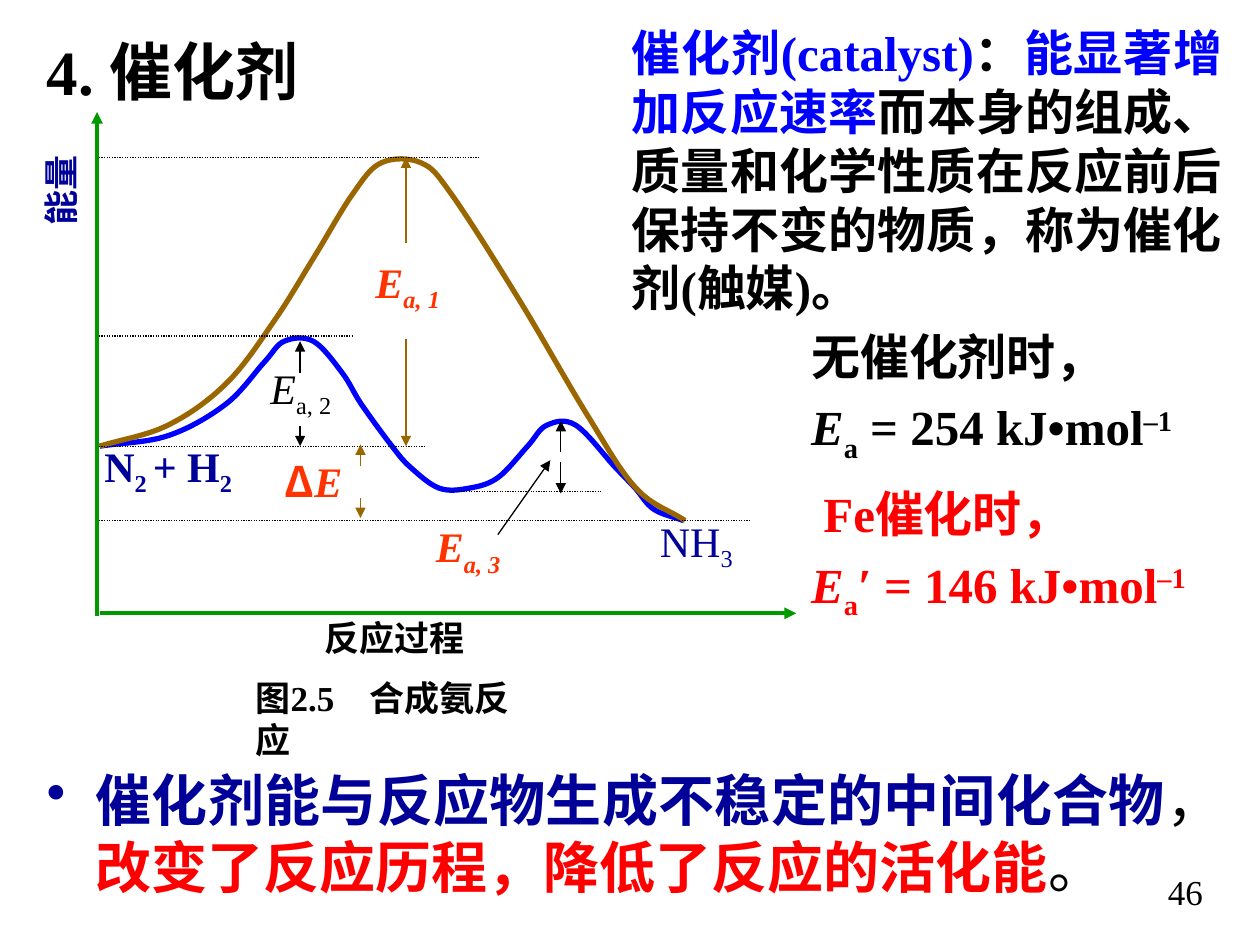
from lxml import etree
from pptx import Presentation
from pptx.dml.color import RGBColor
from pptx.enum.dml import MSO_LINE
from pptx.enum.shapes import MSO_CONNECTOR
from pptx.enum.text import MSO_ANCHOR, MSO_AUTO_SIZE, PP_ALIGN
from pptx.oxml.ns import qn
from pptx.util import Pt

STRAIGHT = MSO_CONNECTOR.STRAIGHT
DOTTED = MSO_LINE.ROUND_DOT
LEFT, RIGHT, JUSTIFY = PP_ALIGN.LEFT, PP_ALIGN.RIGHT, PP_ALIGN.JUSTIFY
TOP = MSO_ANCHOR.TOP
FIXED = MSO_AUTO_SIZE.NONE

SERIF, SANS = "Times New Roman", "Noto Sans CJK SC"
BLACK, NAVY, BLUE, RED = "000000", "000099", "0000FF", "FF0000"
ORANGE, BROWN, GREEN = "FF3300", "996600", "009900"
SUB, SUPER = -25, 30


def color(hex_string):
    return RGBColor.from_string(hex_string)


def add_span(para, text, size=24, fill=BLACK, bold=False, italic=False,
             font=SERIF, shift=0):
    span = para.add_run()
    span.text = text
    span.font.size = Pt(size)
    span.font.name = font
    span.font.bold = bold
    span.font.italic = italic
    span.font.color.rgb = color(fill)
    properties = span.font._element
    etree.SubElement(properties, qn("a:ea")).set("typeface", SANS)
    if shift:
        properties.set("baseline", str(shift * 1000))


class SlideBuilder:
    """Draws on one slide with a shared text and line style."""

    def __init__(self, slide):
        self.slide = slide
        self.shapes = slide.shapes

    def fill_text(self, box, paras, size=24, align=LEFT, wrap=False,
                  spacing=1.2, before=0, **style):
        frame = box.text_frame
        frame.word_wrap = wrap
        frame.auto_size = FIXED
        frame.vertical_anchor = TOP
        for index, spans in enumerate(paras):
            para = frame.add_paragraph() if index else frame.paragraphs[0]
            para.alignment = align
            para.line_spacing = Pt(size * spacing)
            para.space_before = Pt(before if index else 0)
            for text, changes in spans:
                add_span(para, text, **{"size": size, **style, **changes})

    def title(self, text, left, top, width, height, **style):
        box = self.shapes.title
        box.left, box.top, box.width, box.height = map(Pt, (left, top, width, height))
        self.fill_text(box, [[(text, {})]], wrap=True, **style)

    def text(self, paras, left, top, width, height, **style):
        box = self.shapes.add_textbox(*map(Pt, (left, top, width, height)))
        self.fill_text(box, paras, **style)
        return box

    def label(self, main, sub, left, top, width, **style):
        """A symbol followed by its subscript."""
        spans = [(main, {}), (sub, {"shift": SUB, **style.pop("sub_style", {})})]
        self.text([spans], left, top, width, 36, **style)

    def bullet(self, box, indent):
        properties = box.text_frame.paragraphs[0]._p.get_or_add_pPr()
        properties.set("marL", str(Pt(indent)))
        properties.set("indent", str(-Pt(indent)))
        etree.SubElement(properties, qn("a:buChar")).set("char", "•")

    def line(self, x1, y1, x2, y2, fill=BLACK, width=0.75, dash=None, arrow=False):
        line = self.shapes.add_connector(STRAIGHT, *map(Pt, (x1, y1, x2, y2)))
        line.line.color.rgb = color(fill)
        line.line.width = Pt(width)
        if dash:
            line.line.dash_style = dash
        if arrow:
            outline = line.line._get_or_add_ln()
            etree.SubElement(outline, qn("a:tailEnd")).set("type", "triangle")
        etree.SubElement(line._element.spPr, qn("a:effectLst"))

    def curve(self, knots, fill):
        """Smooth open curve through the knots (Catmull-Rom tangents)."""
        start, *others = [(Pt(x), Pt(y)) for x, y in knots]
        builder = self.shapes.build_freeform(*start)
        builder.add_line_segments(others, close=False)
        shape = builder.convert_to_shape()
        shape.shadow.inherit = False
        shape.fill.background()
        shape.line.color.rgb = color(fill)
        shape.line.width = Pt(3)

        points = [(int(point.get("x")), int(point.get("y")))
                  for point in shape._element.iter(qn("a:pt"))]
        last = len(points) - 1

        def tangent(index):
            before, after = max(index - 1, 0), min(index + 1, last)
            return [(b - a) / (3 * (after - before))
                    for a, b in zip(points[before], points[after])]

        segments = list(shape._element.iter(qn("a:lnTo")))
        for index, segment in enumerate(segments):
            begin, end = points[index], points[index + 1]
            leave, arrive = tangent(index), tangent(index + 1)
            controls = ([p + t for p, t in zip(begin, leave)],
                        [p - t for p, t in zip(end, arrive)], end)
            bezier = etree.Element(qn("a:cubicBezTo"))
            for x, y in controls:
                point = etree.SubElement(bezier, qn("a:pt"))
                point.set("x", str(round(x)))
                point.set("y", str(round(y)))
            segment.getparent().replace(segment, bezier)


def main():
    deck = Presentation()
    deck.slide_width, deck.slide_height = Pt(720), Pt(540)
    page = SlideBuilder(deck.slides.add_slide(deck.slide_layouts[5]))

    # Title and definition
    page.title("4. 催化剂", 19.5, 15, 224, 50.5, size=36, bold=True)
    page.text([[("催化剂(catalyst)", {"fill": BLUE}), ("：", {}),
                ("能显著增加反应速率", {"fill": BLUE}),
                ("而本身的组成、质量和化学性质在反应前后保持不变的物质，称为催化剂(触媒)。", {})]],
              354, 9.5, 351.5, 175.5, size=28, bold=True, align=JUSTIFY, wrap=True)

    # Energy curves with and without catalyst
    page.curve([(57, 255), (96, 249), (129, 231), (151, 207), (162.5, 195),
                (179, 195), (195.5, 213), (206.5, 231), (224, 255), (234.5, 267),
                (251, 279), (268, 279), (284.5, 273), (301.5, 255), (312.5, 243),
                (329, 243), (351.5, 267), (363, 279), (373.5, 291), (390.5, 297.5)],
               BLUE)
    page.curve([(57, 255), (96, 243), (129.5, 219), (157, 183), (179.5, 147),
                (201.5, 111), (218, 93), (240.5, 93), (258, 111), (296.5, 171),
                (335.5, 237), (363.5, 279), (391.5, 297.5)], BROWN)

    # Energy levels
    for y, x1, x2 in [(90, 55, 274), (192, 55, 202), (255, 55, 243),
                      (281, 256, 343), (297.5, 55, 428)]:
        page.line(x1, y, x2, y, dash=DOTTED)

    # Axes
    page.line(55.5, 352, 55.5, 64, GREEN, 2.25, arrow=True)
    page.line(57, 350.5, 455, 350.5, GREEN, 2.25, arrow=True)
    page.text([[("反应过程", {})]], 178.5, 349, 94.5, 31, size=20, bold=True)
    energy = page.text([[("能量", {})]], 7, 93, 55, 31, size=20, bold=True, fill=NAVY)
    energy.rotation = 270

    # Energy differences: an upward and a downward arrow each
    for x, up_from, up_to, down_from, down_to, fill in [
            (171.5, 213, 195, 243.5, 255, BLACK),
            (232, 139, 90, 193.5, 255, BROWN),
            (320.5, 258.5, 240.5, 264, 282, BLACK),
            (206, 266.5, 254, 284.5, 296, BROWN)]:
        page.line(x, up_from, x, up_to, fill, arrow=True)
        page.line(x, down_from, x, down_to, fill, arrow=True)
    page.line(284.5, 305.5, 314.5, 263, arrow=True)

    # Labels in the diagram
    page.label("E", "a, 1", 207.5, 147, 55, fill=ORANGE, bold=True, italic=True)
    page.label("E", "a, 2", 147.5, 207.5, 52.5, italic=True,
               sub_style={"italic": False})
    page.label("E", "a, 3", 242, 298, 55, fill=ORANGE, bold=True, italic=True)
    page.label("NH", "3", 370, 295, 57.5, fill=NAVY)
    page.text([[("Δ", {"font": SANS}), ("E", {"italic": True})]],
              155.5, 257, 55, 36, fill=ORANGE, bold=True)
    page.text([[("N", {}), ("2 ", {"shift": SUB}), ("+ H", {}), ("2", {"shift": SUB})]],
              52.5, 252, 90, 36, fill=NAVY, bold=True)
    page.text([[("图2.5　合成氨反应", {})]], 139, 383, 174, 55,
              size=20, bold=True, wrap=True)

    # Activation energies
    symbol = [("E", {"italic": True}), ("a", {"shift": SUB})]
    power = ("–1", {"shift": SUPER})
    without = [*symbol, (" = 254 kJ•mol", {}), power]
    with_iron = [(text, {**changes, "fill": RED}) for text, changes in
                 [*symbol, ("′ = 146 kJ•mol", {}), power]]
    page.text([[("无催化剂时，", {})], without,
               [(" Fe催化时，", {"fill": RED})], with_iron],
              456.5, 179.5, 255, 181.5, size=28, bold=True, align=JUSTIFY,
              wrap=True, spacing=1.32, before=8)

    # Conclusion and page number
    conclusion = page.text(
        [[("催化剂能与反应物生成不稳定的中间化合物", {"fill": NAVY, "bold": True}),
          ("，", {}),
          ("改变了反应历程，降低了反应的活化能", {"fill": RED, "bold": True}),
          ("。", {})]],
        19.5, 434, 686, 84.5, size=32, font=SANS, align=JUSTIFY, wrap=True)
    page.bullet(conclusion, 28)
    page.text([[("46", {})]], 610.5, 494, 84, 31, size=20, align=RIGHT, wrap=True)

    deck.save("out.pptx")


if __name__ == "__main__":
    main()
